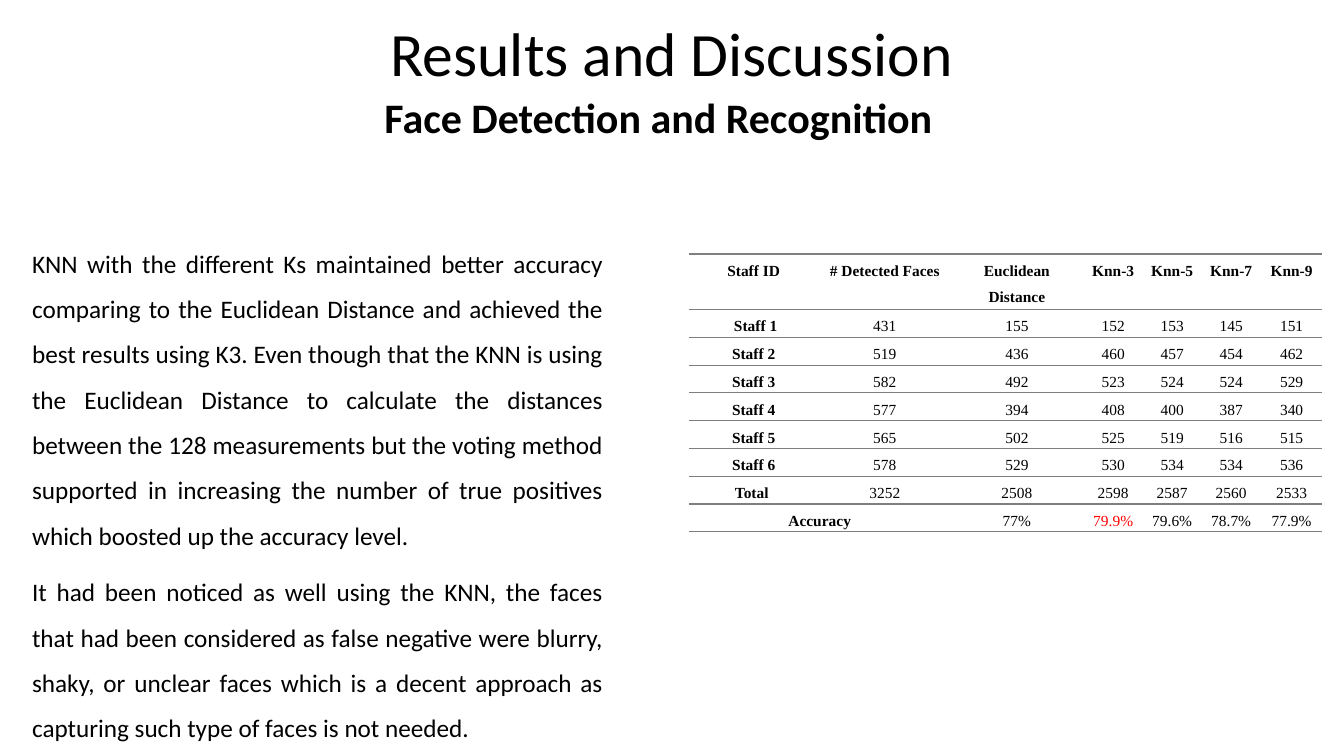
from typing import NamedTuple

from lxml import etree
from pptx import Presentation
from pptx import util as u
from pptx.dml.color import RGBColor
from pptx.enum import text as t
from pptx.oxml.ns import qn

BLACK = RGBColor(0x00, 0x00, 0x00)
RED = RGBColor(0xFF, 0x00, 0x00)
RULE_GREY = RGBColor(0x7F, 0x7F, 0x7F)
BODY_FONT, TABLE_FONT = "Calibri", "Times New Roman"
NO_STYLE_NO_GRID = "{2D5ABB26-0587-4C30-8999-92F81FD0307C}"

# The slide is a grid of 100 columns by 100 rows
SLIDE_WIDTH, SLIDE_HEIGHT = u.Inches(13.33), u.Inches(7.5)


class Box(NamedTuple):
    col: float
    row: float
    cols: float
    rows: float


TITLE_BOX = Box(16.2, -3.6, 67.59, 14.67)
SUBTITLE_BOX = Box(10.05, 8.13, 71.12, 10.4)
RESULTS_BOX = Box(51.24, 33.6, 47.1, 25.2)
DISCUSSION_BOX = Box(1.65, 30.13, 43.96, 68.8)

RESULT_COLS = [9.68, 9.83, 9.83, 4.5, 4.28, 4.5, 4.5]
RESULTS = [
    ["Staff ID", "# Detected Faces", "Euclidean Distance", "Knn-3", "Knn-5", "Knn-7", "Knn-9"],
    [" Staff 1", "431", "155", "152", "153", "145", "151"],
    ["Staff 2", "519", "436", "460", "457", "454", "462"],
    ["Staff 3", "582", "492", "523", "524", "524", "529"],
    ["Staff 4", "577", "394", "408", "400", "387", "340"],
    ["Staff 5", "565", "502", "525", "519", "516", "515"],
    ["Staff 6", "578", "529", "530", "534", "534", "536"],
    ["Total ", "3252", "2508", "2598", "2587", "2560", "2533"],
    ["Accuracy", "", "77%", "79.9%", "79.6%", "78.7%", "77.9%"],
]
BEST_ACCURACY = "79.9%"

DISCUSSION = [
    "KNN with the different Ks maintained better accuracy comparing to the Euclidean "
    "Distance and achieved the best results using K3. Even though that the KNN is using "
    "the Euclidean Distance to calculate the distances between the 128 measurements but "
    "the voting method supported in increasing the number of true positives which boosted "
    "up the accuracy level. ",
    "It had been noticed as well using the KNN, the faces that had been considered as "
    "false negative were blurry, shaky, or unclear faces which is a decent approach as "
    "capturing such type of faces is not needed.",
]


def across(cols: float) -> int:
    return round(SLIDE_WIDTH * cols / 100)


def down(rows: float) -> int:
    return round(SLIDE_HEIGHT * rows / 100)


def place(box: Box) -> tuple[int, int, int, int]:
    return across(box.col), down(box.row), across(box.cols), down(box.rows)


def write(frame, *paragraphs: str, size: float, font: str = BODY_FONT, bold: bool = False,
          color: RGBColor = BLACK, align=t.PP_ALIGN.CENTER, after: float = 8,
          level: int = 0, indent: float = 0) -> None:
    """Fill a text frame with paragraphs of one format, at 1.5 line spacing."""
    frame.word_wrap = True
    for index, words in enumerate(paragraphs):
        paragraph = frame.add_paragraph() if index else frame.paragraphs[0]
        paragraph.alignment = align
        paragraph.level = level
        paragraph.line_spacing = 1.5
        paragraph.space_before = u.Pt(0)
        paragraph.space_after = u.Pt(after)
        properties = paragraph._p.get_or_add_pPr()
        properties.set("marL", str(u.Inches(indent)))
        properties.set("indent", "0")
        run = paragraph.add_run()
        run.text = words
        run.font.name, run.font.size = font, u.Pt(size)
        run.font.bold, run.font.color.rgb = bold, color


def add_text(slide, box: Box, *paragraphs: str, **text_format) -> None:
    frame = slide.shapes.add_textbox(*place(box)).text_frame
    write(frame, *paragraphs, **text_format)
    frame.auto_size = t.MSO_AUTO_SIZE.SHAPE_TO_FIT_TEXT


def rule_cell(cell) -> None:
    """Draw a thin line above and below a cell."""
    properties = cell._tc.get_or_add_tcPr()
    for position, edge in enumerate(("a:lnT", "a:lnB")):
        line = etree.Element(qn(edge), w=str(u.Pt(1)))
        fill = etree.SubElement(line, qn("a:solidFill"))
        etree.SubElement(fill, qn("a:srgbClr"), val=str(RULE_GREY))
        properties.insert(position, line)


def add_title(slide) -> None:
    title = slide.shapes.title
    title.left, title.top, title.width, title.height = place(TITLE_BOX)
    frame = title.text_frame
    write(frame, "Results and Discussion", size=44)
    frame.vertical_anchor = t.MSO_ANCHOR.TOP
    frame.auto_size = t.MSO_AUTO_SIZE.SHAPE_TO_FIT_TEXT


def add_results(slide) -> None:
    results = slide.shapes.add_table(len(RESULTS), len(RESULT_COLS), *place(RESULTS_BOX)).table
    results.first_row = results.horz_banding = False
    results._tbl.tblPr.find(qn("a:tableStyleId")).text = NO_STYLE_NO_GRID
    for column, cols in zip(results.columns, RESULT_COLS):
        column.width = across(cols)
    results.cell(len(RESULTS) - 1, 0).merge(results.cell(len(RESULTS) - 1, 1))

    for r, values in enumerate(RESULTS):
        for c, value in enumerate(values):
            cell = results.cell(r, c)
            cell.margin_left = cell.margin_right = u.Inches(0.07)
            cell.margin_top = cell.margin_bottom = 0
            cell.fill.background()
            rule_cell(cell)
            if not cell.is_spanned:
                write(cell.text_frame, value, size=11, font=TABLE_FONT, bold=r == 0 or c == 0,
                      color=RED if value == BEST_ACCURACY else BLACK)


def main() -> None:
    deck = Presentation()
    deck.slide_width, deck.slide_height = SLIDE_WIDTH, SLIDE_HEIGHT
    slide = deck.slides.add_slide(deck.slide_layouts.get_by_name("Title Only"))

    # Headings
    add_title(slide)
    add_text(slide, SUBTITLE_BOX, "Face Detection and Recognition ", size=30, bold=True,
             after=0, level=2, indent=1)

    # Accuracy table and its discussion
    add_results(slide)
    add_text(slide, DISCUSSION_BOX, *DISCUSSION, size=18, align=t.PP_ALIGN.JUSTIFY)

    deck.save("out.pptx")


if __name__ == "__main__":
    main()
